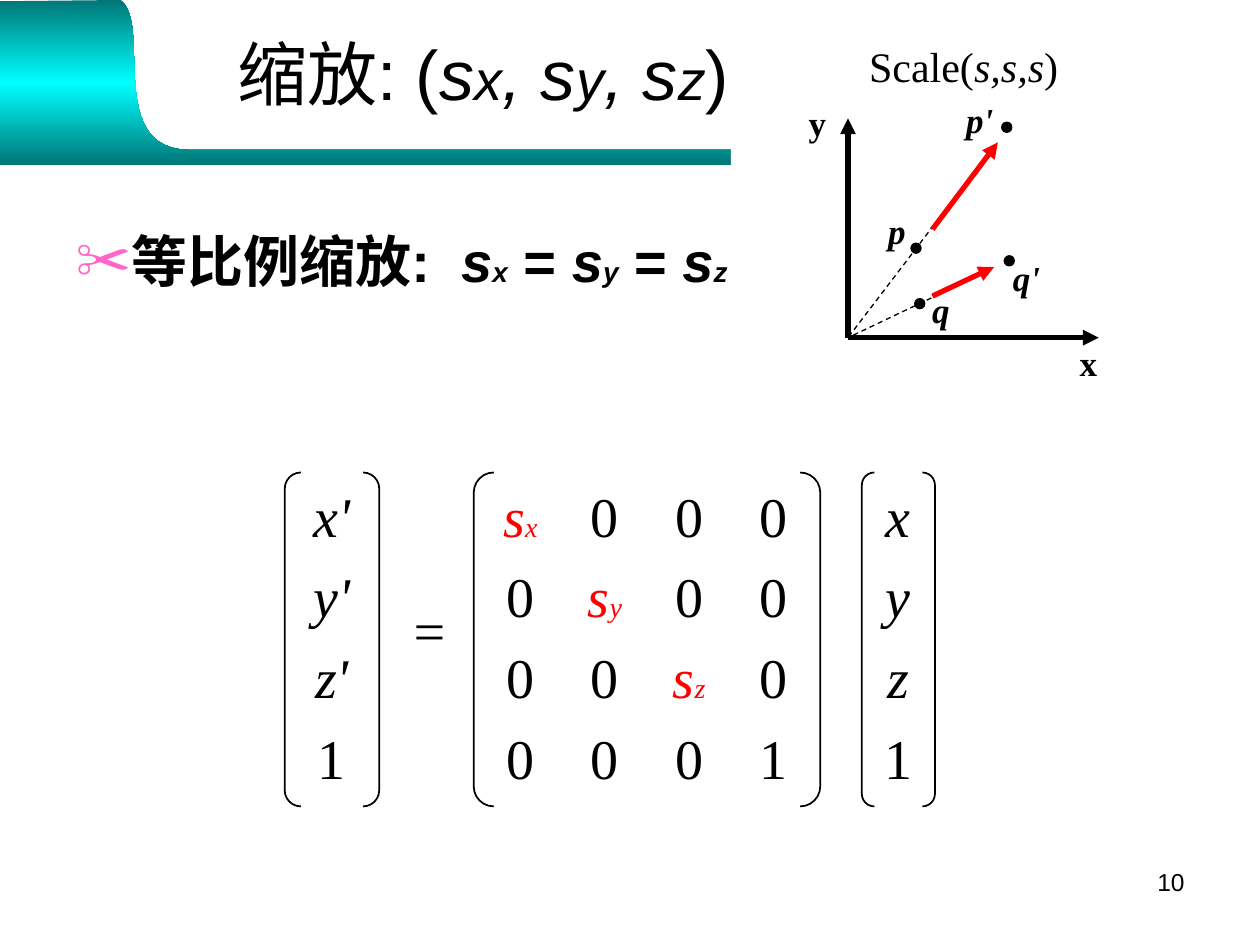
from copy import deepcopy
from pptx import Presentation
from pptx.dml.color import RGBColor as Rgb
from pptx.enum.dml import MSO_LINE as Dash
from pptx.enum.shapes import MSO_CONNECTOR as Conn, MSO_SHAPE as Kind
from pptx.enum.text import MSO_ANCHOR as Anchor, MSO_AUTO_SIZE as Fit, PP_ALIGN as Align
from pptx.oxml import parse_xml
from pptx.oxml.ns import nsdecls, qn
from pptx.util import Inches as In, Pt

WIDE, HIGH = 10, 7.5
HUE = {"ink": "000000", "paper": "FFFFFF", "red": "FF0000",
       "teal": "007676", "cyan": "00FFFF", "pink": "FF66CC"}
SANS, SERIF = "Arial", "Times New Roman"


def rgb(name):
    return Rgb.from_string(HUE[name])


def node(tag, attrs=""):
    return parse_xml(f"<a:{tag} {nsdecls('a')} {attrs}/>")


def write(frame, paras, size=32, face=SERIF, hue="ink", bold=False,
          italic=False, align=None, gap=0):
    """Each paragraph is a list of (text, changes) runs."""
    for i, runs in enumerate(paras):
        para = frame.add_paragraph() if i else frame.paragraphs[0]
        para.alignment = align
        para.space_before = Pt(gap if i else 0)
        for words, change in runs:
            run = para.add_run()
            run.text = words
            font = run.font
            font.name = face
            font.size = Pt(change.get("size", size))
            font.bold = bold
            font.italic = change.get("italic", italic)
            font.color.rgb = rgb(change.get("hue", hue))


def text(slide, box, paras, inset=(0.1, 0.05), wrap=False, **form):
    frame = slide.shapes.add_textbox(*map(In, box)).text_frame
    frame.word_wrap = wrap
    frame.margin_left = frame.margin_right = In(inset[0])
    frame.margin_top = frame.margin_bottom = In(inset[1])
    write(frame, paras, **form)


def shape(slide, kind, box, fill=None, line=None, width=1):
    item = slide.shapes.add_shape(kind, *map(In, box))
    item.shadow.inherit = False
    if fill:
        item.fill.solid()
        item.fill.fore_color.rgb = rgb(fill)
    else:
        item.fill.background()
    if line:
        item.line.color.rgb = rgb(line)
        item.line.width = Pt(width)
    else:
        item.line.fill.background()
    return item


def line(slide, start, end, hue="ink", width=3.0, arrow=True):
    item = slide.shapes.add_connector(Conn.STRAIGHT, *map(In, start + end))
    item.line.color.rgb = rgb(hue)
    item.line.width = Pt(width)
    if arrow:
        item.line._get_or_add_ln().append(node("tailEnd", 'type="triangle"'))
    else:
        item.line.dash_style = Dash.DASH
    item._element.spPr.append(node("effectLst"))


def curve(a, b, c, d, steps=24):
    """Points along a cubic curve, without its start."""
    for i in range(1, steps + 1):
        t = i / steps
        u = 1 - t
        yield tuple(u**3 * p + 3 * u * u * t * q + 3 * u * t * t * r + t**3 * s
                    for p, q, r, s in zip(a, b, c, d))


def band(slide, wide, high):
    """Gradient swoosh along the top."""
    foot = high - 0.12
    points = [(0, high), (0, 0.01), (0.96, 0),
              *curve((0.96, 0), (1.21, 0.2), (0.83, foot), (1.51, foot)),
              (wide, foot)]
    pen = slide.shapes.build_freeform(In(wide), In(high))
    pen.add_line_segments([(In(x), In(y)) for x, y in points], close=True)
    item = pen.convert_to_shape()
    item.shadow.inherit = False
    item.line.fill.background()
    item.fill.gradient()
    item.fill.gradient_angle = 90
    stops = item._element.spPr.find(qn("a:gradFill")).find(qn("a:gsLst"))
    stops.append(deepcopy(stops[0]))
    for stop, spot, hue in zip(item.fill.gradient_stops, (0, 0.5, 1),
                               ("teal", "cyan", "teal")):
        stop.position = spot
        stop.color.rgb = rgb(hue)
    return item


def backdrop(slide, wide, high):
    """Band and white panel, both behind the placeholders."""
    swoosh = band(slide, wide, high)
    panel = shape(slide, Kind.RECTANGLE,
                  (0.58 * wide, 0.19, 0.42 * wide, 1.61), "paper")
    for item in (panel, swoosh):
        slide.shapes._spTree.insert(2, item._element)


def scales(joint, small):
    """Runs for sx, sy, sz with smaller axis letters."""
    runs = []
    for i, axis in enumerate("xyz"):
        if i:
            runs.append(joint)
        runs += [("s", {"italic": True}), (axis, {"size": small, "italic": True})]
    return runs


def place(item, box):
    item.left, item.top, item.width, item.height = map(In, box)
    item.text_frame.auto_size = Fit.NONE
    return item.text_frame


def head(item, box):
    frame = place(item, box)
    frame.vertical_anchor = Anchor.MIDDLE
    runs = scales((", ", {"italic": True}), 32)
    write(frame, [[("缩放: (", {}), *runs, (")", {})]],
          size=40, face=SANS, align=Align.CENTER)


def body(item, box):
    frame = place(item, box)
    props = frame.paragraphs[0]._p.get_or_add_pPr()
    props.set("marL", str(In(0.38)))
    props.set("indent", str(-In(0.38)))
    tint = node("buClr")
    tint.append(node("srgbClr", f'val="{HUE["pink"]}"'))
    props.extend([tint, node("buChar", 'char="✂"')])
    write(frame, [[("等比例缩放:  ", {}), *scales((" = ", {}), 16)]],
          face=SANS, bold=True)


def entry(cell):
    """Runs of one matrix cell; scale factors are red with a subscript."""
    if cell[0] == "s":
        look = {"hue": "red", "italic": True}
        return [("s", look), (cell[1], {**look, "size": 16})]
    return [(cell, {"italic": cell[0].isalpha()})]


def matrix(slide, box, rows, bend):
    """Bracketed grid, its columns centred in the box."""
    left, top, wide, high = box
    shape(slide, Kind.DOUBLE_BRACKET, box, line="ink").adjustments[0] = bend
    cols = list(zip(*(row.split() for row in rows)))
    cell, pitch = 0.58, 0.67
    first = left + (wide - cell - pitch * (len(cols) - 1)) / 2
    for i, col in enumerate(cols):
        text(slide, (first + i * pitch, top + 0.07, cell, high - 0.19),
             [entry(c) for c in col], inset=(0, 0), wrap=True,
             align=Align.CENTER, gap=7.7)


def plot(slide, x, y):
    """Axes, points and scaling arrows around the origin x, y."""
    def at(dx, dy):
        return x + dx, y + dy

    # Rays and axes
    for tip in ((1.16, -1.52), (1.05, -0.5)):
        line(slide, at(*tip), at(0, 0), width=0.75, arrow=False)
    for tip in ((0, -1.74), (1.99, 0)):
        line(slide, at(0, 0), at(*tip))
    # Moves from p to p' and from q to q'
    for start, tip in (((0.67, -0.86), (1.19, -1.55)),
                       ((0.67, -0.33), (1.16, -0.56))):
        line(slide, at(*start), at(*tip), hue="red")
    # Points
    for spot in ((0.5, -0.75), (1.22, -1.71), (0.53, -0.31), (1.24, -0.65)):
        shape(slide, Kind.OVAL, (*at(*spot), 0.08, 0.08), "ink", "ink", 0.75)
    # Names
    for name, dx, dy in (("x", 1.74, -0.02), ("y", -0.41, -1.92),
                         ("p", 0.22, -1.07), ("p'", 0.84, -1.95),
                         ("q", 0.57, -0.44), ("q'", 1.21, -0.69)):
        text(slide, (*at(dx, dy), 0.33 if len(name) == 1 else 0.5, 0.44),
             [[(name, {})]], size=20, bold=True, italic=name[0] in "pq")
    text(slide, (*at(0.07, -2.41), 2.04, 0.5),
         [[("Scale(", {}), ("s,s,s", {"italic": True}), (")", {})]], size=24)


def main():
    deck = Presentation()
    deck.slide_width, deck.slide_height = In(WIDE), In(HIGH)
    slide = deck.slides.add_slide(deck.slide_layouts[1])
    backdrop(slide, WIDE, 1.31)
    # Title and list
    head(slide.shapes.title, (0.5, 0, 6.67, 1.15))
    body(slide.placeholders[1], (0.5, 1.75, 0.9 * WIDE, 4.95))
    # Equation
    top, high = HIGH / 2, 2.65
    matrix(slide, (2.26, top, 0.75, high), ["x'", "y'", "z'", "1"], 0.171)
    text(slide, (3.26, 4.73, 0.33, 0.53), [[("=", {})]], inset=(0, 0), italic=True)
    matrix(slide, (3.76, top, 2.75, high),
           ["sx 0 0 0", "0 sy 0 0", "0 0 sz 0", "0 0 0 1"], 0.06)
    matrix(slide, (6.84, top, 0.58, high), ["x", "y", "z", "1"], 0.171)
    # Diagram
    plot(slide, 6.73, 2.68)
    # Page number
    text(slide, (7.17, 6.83, 2.33, 0.52), [[("10", {})]], wrap=True,
         size=14, face=SANS, align=Align.RIGHT)
    deck.save("out.pptx")


if __name__ == "__main__":
    main()
